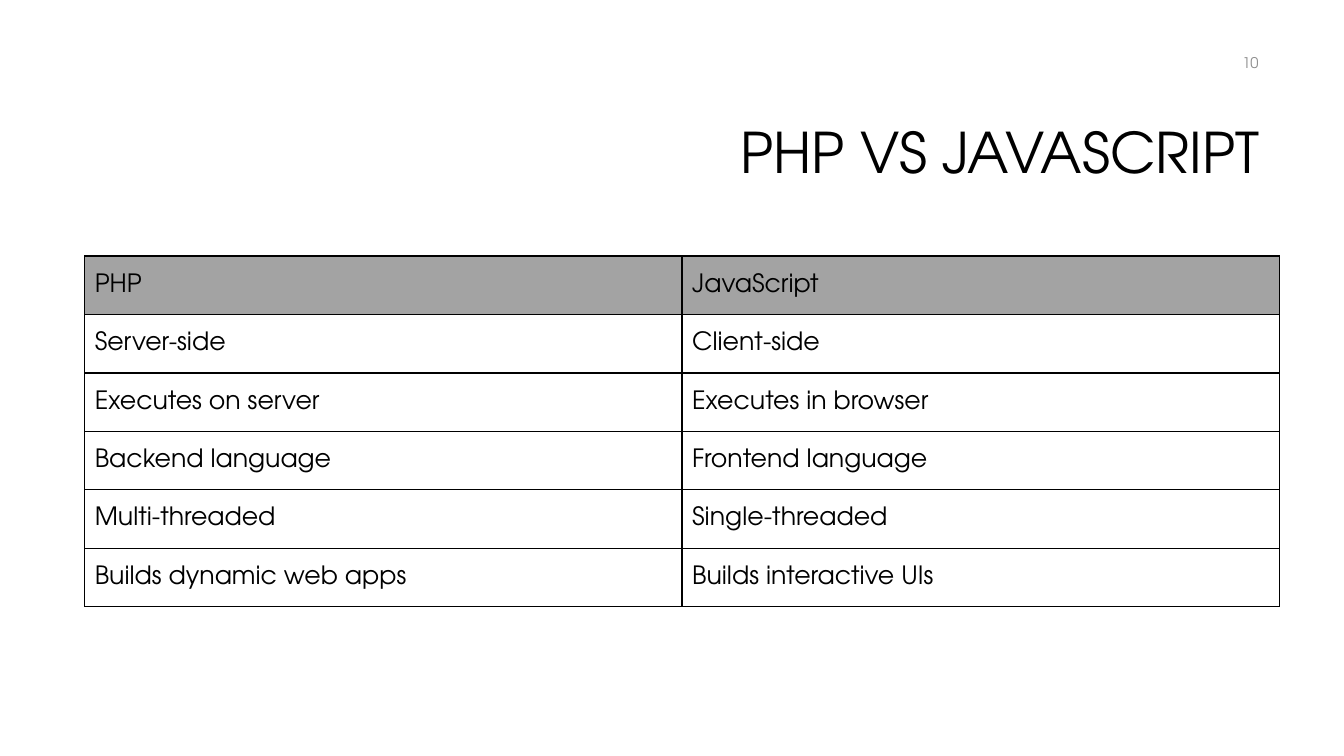
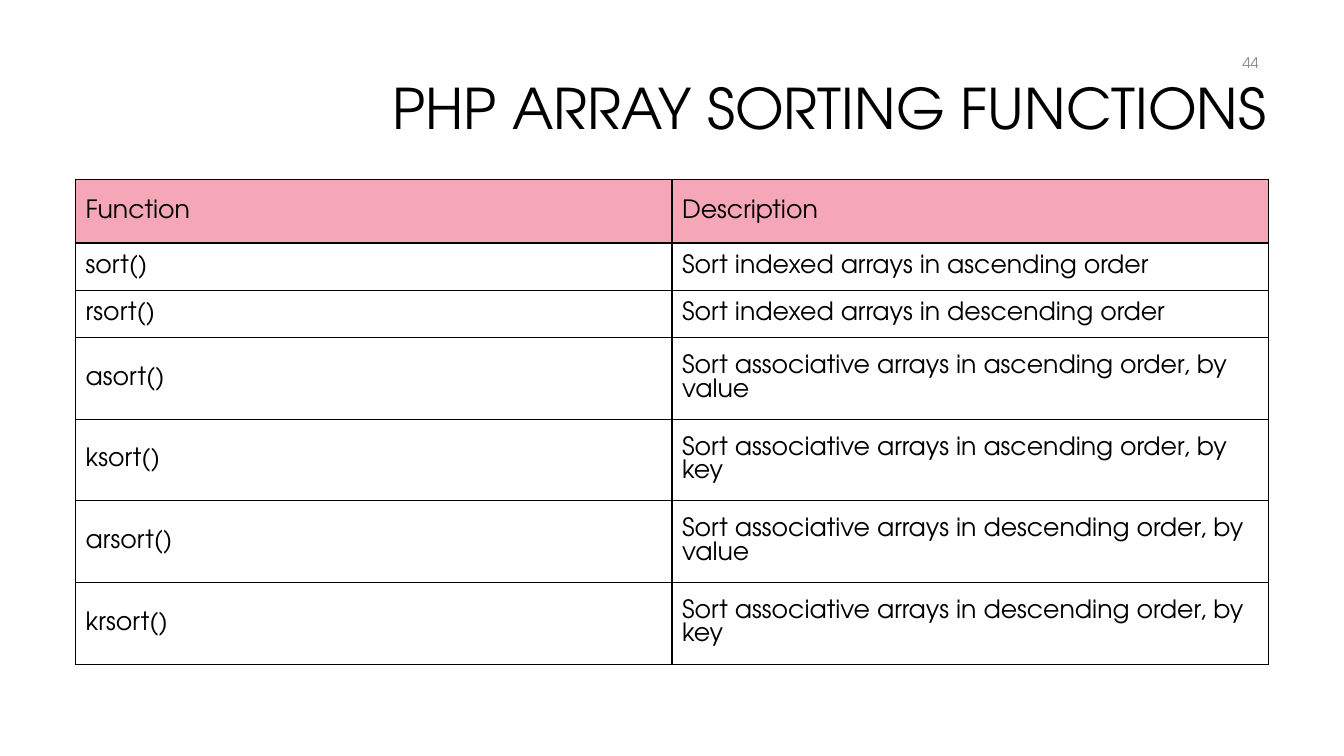
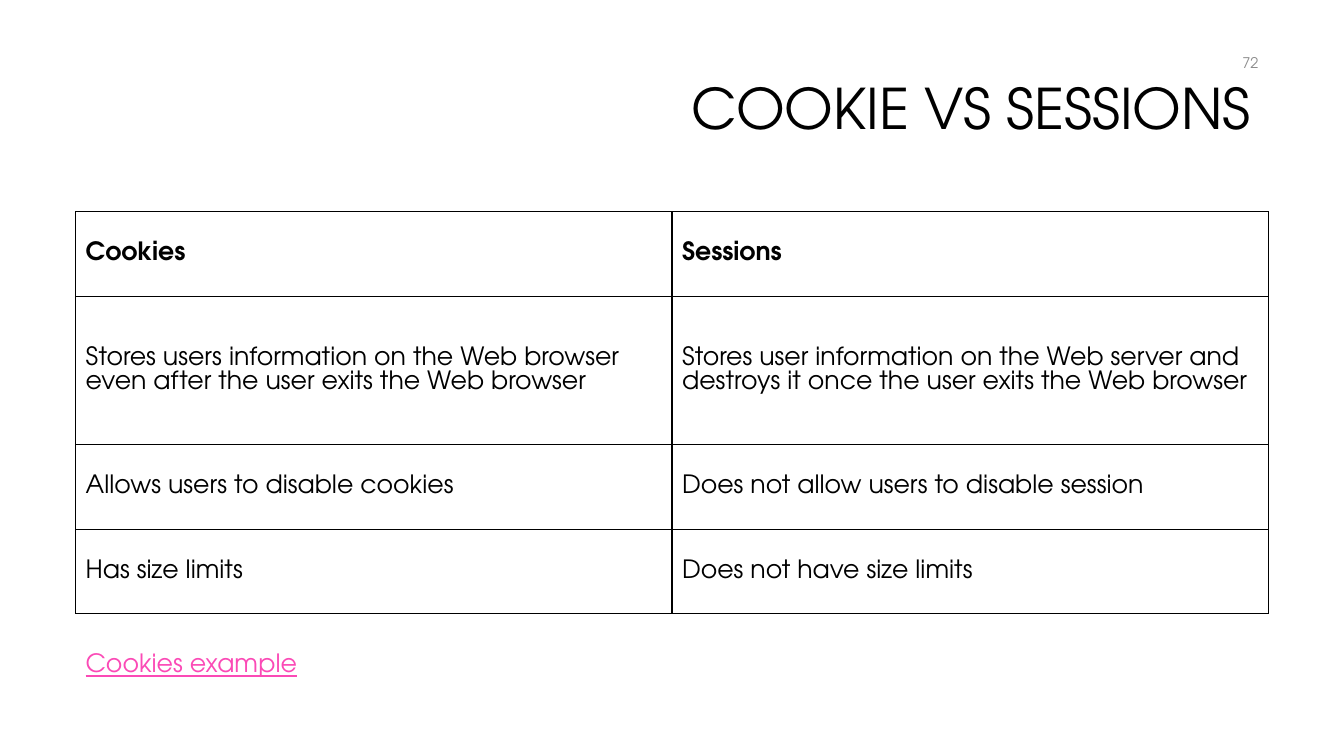
from dataclasses import dataclass

from lxml.etree import SubElement
from pptx import Presentation
from pptx.dml.color import RGBColor
from pptx.enum.text import MSO_ANCHOR, MSO_AUTO_SIZE, PP_ALIGN
from pptx.oxml.ns import qn
from pptx.presentation import Presentation as PresentationType
from pptx.shapes.base import BaseShape
from pptx.slide import Slide
from pptx.table import _Cell
from pptx.text.text import TextFrame
from pptx.util import Inches, Pt


@dataclass(frozen=True)
class Theme:
    font: str = "TeX Gyre Adventor"
    ink: str = "000000"
    muted: str = "8C8C8C"
    link: str = "FB4AB6"
    paper: str = "FFFFFF"
    grey_header: str = "A3A3A3"
    pink_header: str = "F5A7B8"
    title_size: float = 40
    body_size: float = 18
    number_size: float = 10.5
    border_width: float = 1


THEME = Theme()


@dataclass(frozen=True)
class Box:
    left: float
    top: float
    width: float
    height: float


@dataclass(frozen=True)
class TextStyle:
    size: float = THEME.body_size
    color: str = THEME.ink
    bold: bool = False
    underline: bool = False
    align: PP_ALIGN = PP_ALIGN.LEFT
    line_spacing: float = 1.0


@dataclass(frozen=True)
class ComparisonTable:
    left: float
    top: float
    width: float
    row_heights: tuple[float, ...]
    rows: tuple[tuple[str, str], ...]
    header_fill: str | None = None
    header_bold: bool = False


@dataclass(frozen=True)
class TableSlide:
    title: str
    title_box: Box
    number: int
    table: ComparisonTable
    link: str | None = None


TITLE_STYLE = TextStyle(size=THEME.title_size, align=PP_ALIGN.RIGHT, line_spacing=0.9)
NUMBER_STYLE = TextStyle(size=THEME.number_size, color=THEME.muted, align=PP_ALIGN.RIGHT)
LINK_STYLE = TextStyle(color=THEME.link, underline=True)
CELL_STYLE = TextStyle()
BOLD_CELL_STYLE = TextStyle(bold=True)

HIGH_TITLE = Box(3.24, 0.5, 9.42, 1.21)
NUMBER_BOX = Box(9.58, 0.42, 3, 0.4)
LINK_BOX = Box(0.75, 6.37, 2.66, 0.4)

SLIDES = (
    TableSlide(
        title="PHP VS JAVASCRIPT",
        title_box=Box(3.17, 0.84, 9.42, 1.41),
        number=10,
        table=ComparisonTable(
            left=0.84,
            top=2.54,
            width=11.85,
            row_heights=(0.58,) * 6,
            header_fill=THEME.grey_header,
            rows=(
                ("PHP", "JavaScript"),
                ("Server-side", "Client-side"),
                ("Executes on server", "Executes in browser"),
                ("Backend language", "Frontend language"),
                ("Multi-threaded", "Single-threaded"),
                ("Builds dynamic web apps", "Builds interactive UIs"),
            ),
        ),
    ),
    TableSlide(
        title="PHP ARRAY SORTING FUNCTIONS",
        title_box=HIGH_TITLE,
        number=44,
        table=ComparisonTable(
            left=0.75,
            top=1.78,
            width=11.83,
            row_heights=(0.63,) + (0.47,) * 2 + (0.81,) * 4,
            header_fill=THEME.pink_header,
            rows=(
                ("Function", "Description"),
                ("sort()", "Sort indexed arrays in ascending order"),
                ("rsort()", "Sort indexed arrays in descending order"),
                ("asort()", "Sort associative arrays in ascending order, by value"),
                ("ksort()", "Sort associative arrays in ascending order, by key"),
                ("arsort()", "Sort associative arrays in descending order, by value"),
                ("krsort()", "Sort associative arrays in descending order, by key"),
            ),
        ),
    ),
    TableSlide(
        title="COOKIE VS SESSIONS ",
        title_box=HIGH_TITLE,
        number=72,
        table=ComparisonTable(
            left=0.75,
            top=2.1,
            width=11.83,
            row_heights=(0.84, 1.47, 0.84, 0.84),
            header_bold=True,
            rows=(
                ("Cookies", "Sessions"),
                (
                    "Stores users information on the Web browser even after the user exits the Web browser",
                    "Stores user information on the Web server and destroys it once the user exits the Web browser",
                ),
                ("Allows users to disable cookies", "Does not allow users to disable session"),
                ("Has size limits", "Does not have size limits"),
            ),
        ),
        link="Cookies example",
    ),
)


def write_text(frame: TextFrame, text: str, style: TextStyle) -> None:
    paragraph = frame.paragraphs[0]
    paragraph.alignment = style.align
    paragraph.line_spacing = style.line_spacing
    run = paragraph.add_run()
    run.text = text
    run.font.name = THEME.font
    run.font.size = Pt(style.size)
    run.font.bold = style.bold
    run.font.underline = style.underline
    run.font.color.rgb = RGBColor.from_string(style.color)


def place(shape: BaseShape, box: Box) -> None:
    shape.left, shape.top = Inches(box.left), Inches(box.top)
    shape.width, shape.height = Inches(box.width), Inches(box.height)


def add_title(slide: Slide, text: str, box: Box) -> None:
    title = slide.shapes.title
    place(title, box)
    frame = title.text_frame
    frame.word_wrap = True
    frame.auto_size = MSO_AUTO_SIZE.NONE
    frame.vertical_anchor = MSO_ANCHOR.MIDDLE
    write_text(frame, text, TITLE_STYLE)


def add_text(slide: Slide, text: str, box: Box, style: TextStyle, anchor: MSO_ANCHOR) -> None:
    shape = slide.shapes.add_textbox(
        Inches(box.left), Inches(box.top), Inches(box.width), Inches(box.height)
    )
    frame = shape.text_frame
    frame.word_wrap = True
    frame.vertical_anchor = anchor
    write_text(frame, text, style)


def add_borders(cell: _Cell) -> None:
    properties = cell._tc.get_or_add_tcPr()
    for index, side in enumerate(("lnL", "lnR", "lnT", "lnB")):
        line = SubElement(properties, qn(f"a:{side}"), w=str(Pt(THEME.border_width)))
        fill = SubElement(line, qn("a:solidFill"))
        SubElement(fill, qn("a:srgbClr"), val=THEME.ink)
        properties.insert(index, line)


def format_cell(cell: _Cell, text: str, style: TextStyle, fill: str | None) -> None:
    cell.vertical_anchor = MSO_ANCHOR.MIDDLE
    if fill:
        cell.fill.solid()
        cell.fill.fore_color.rgb = RGBColor.from_string(fill)
    else:
        cell.fill.background()
    add_borders(cell)
    write_text(cell.text_frame, text, style)


def add_comparison(slide: Slide, content: ComparisonTable) -> None:
    column_count = len(content.rows[0])
    table = slide.shapes.add_table(
        len(content.rows),
        column_count,
        Inches(content.left),
        Inches(content.top),
        Inches(content.width),
        Inches(sum(content.row_heights)),
    ).table
    table.first_row = False
    table.horz_banding = False
    for column in table.columns:
        column.width = Inches(content.width / column_count)
    for row_index, (height, texts) in enumerate(zip(content.row_heights, content.rows)):
        table.rows[row_index].height = Inches(height)
        is_header = row_index == 0
        style = BOLD_CELL_STYLE if is_header and content.header_bold else CELL_STYLE
        fill = content.header_fill if is_header else None
        for column_index, text in enumerate(texts):
            format_cell(table.cell(row_index, column_index), text, style, fill)


def add_table_slide(presentation: PresentationType, content: TableSlide) -> None:
    slide = presentation.slides.add_slide(presentation.slide_layouts.get_by_name("Title Only"))
    add_title(slide, content.title, content.title_box)
    add_text(slide, str(content.number), NUMBER_BOX, NUMBER_STYLE, MSO_ANCHOR.MIDDLE)
    add_comparison(slide, content.table)
    if content.link:
        add_text(slide, content.link, LINK_BOX, LINK_STYLE, MSO_ANCHOR.TOP)


def main() -> None:
    presentation = Presentation()
    presentation.slide_width = Inches(13.33)
    presentation.slide_height = Inches(7.5)
    background = presentation.slide_master.background.fill
    background.solid()
    background.fore_color.rgb = RGBColor.from_string(THEME.paper)
    for content in SLIDES:
        add_table_slide(presentation, content)
    presentation.save("out.pptx")


if __name__ == "__main__":
    main()
